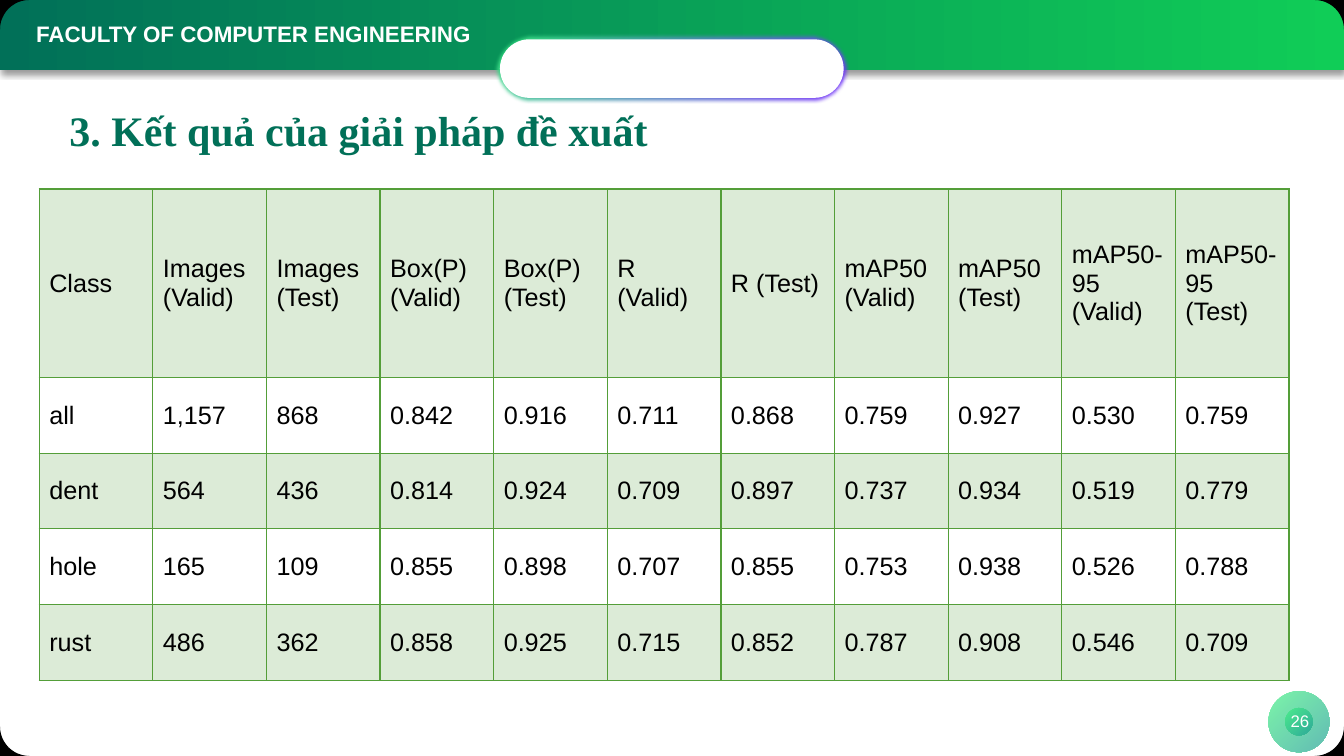
from dataclasses import dataclass
from math import cos, pi, sin

from lxml.etree import SubElement as Sub
from pptx import Presentation
from pptx.dml.color import RGBColor as RGB
from pptx.enum.shapes import MSO_SHAPE as Kind
from pptx.enum.text import MSO_ANCHOR as Anchor, PP_ALIGN as Align
from pptx.oxml import parse_xml
from pptx.oxml.ns import nsdecls, qn
from pptx.shapes.autoshape import Shape
from pptx.slide import Slide
from pptx.table import _Cell as Cell
from pptx.util import Pt

WIDE, HIGH = 960, 540


@dataclass(frozen=True)
class Theme:
    dark: str = "017058"
    bright: str = "10CD57"
    mint: str = "38EF7D"
    teal: str = "11998E"
    purple: str = "752AFF"
    grid: str = "549E39"
    white: str = "FFFFFF"
    black: str = "000000"
    sans: str = "Arial"
    serif: str = "Times New Roman"
    title: int = 30
    body: int = 18
    head: int = 16
    small: int = 12


THEME = Theme()


@dataclass(frozen=True)
class Panel:
    kind: Kind
    box: tuple[float, float, float, float]
    fills: tuple[str, ...]
    angle: int = 0
    alpha: int = 100
    effect: str = ""


@dataclass(frozen=True)
class Label:
    text: str
    box: tuple[float, float, float, float]
    font: str
    size: int
    color: str
    bold: bool = False
    wrap: bool = True
    align: Align = Align.LEFT
    anchor: Anchor = Anchor.MIDDLE
    spacing: float = 1.0


SHADE = (f'<a:outerShdw {nsdecls("a")} blurRad="{Pt(4)}" dist="{Pt(3)}" dir="5400000">'
         f'<a:srgbClr val="{THEME.black}"><a:alpha val="40000"/></a:srgbClr></a:outerShdw>')
SOFT = f'<a:softEdge {nsdecls("a")} rad="{Pt(3)}"/>'
BADGE = (THEME.mint, THEME.teal)

PANELS = [
    Panel(Kind.RECTANGLE, (0, 0, WIDE, 50), (THEME.dark, THEME.bright), effect=SHADE),
    Panel(Kind.ROUNDED_RECTANGLE, (352.8, 23.8, 254.2, 50.4),
          (THEME.mint, THEME.purple), 45, effect=SOFT),
    Panel(Kind.ROUNDED_RECTANGLE, (357.1, 28.1, 245.5, 41.8), (THEME.white,)),
    Panel(Kind.OVAL, (906, 493.7, 43.6, 43.6), BADGE, 45, 65),
    Panel(Kind.OVAL, (918, 505.7, 19.6, 19.6), BADGE, 45, 65),
]
LABELS = [
    Label("FACULTY OF COMPUTER ENGINEERING", (18.7, 10.8, 584, 26.6), THEME.sans,
          THEME.head, THEME.white, bold=True, wrap=False, anchor=Anchor.TOP),
    Label("3. Kết quả của giải pháp đề xuất", (42.5, 59.8, 864.7, 69.8), THEME.serif,
          THEME.title, THEME.dark, bold=True, spacing=0.9),
    Label("26", (906, 500.4, 45, 28.8), THEME.sans, THEME.small, THEME.white,
          align=Align.CENTER),
]
ROWS = [
    ["Class", "Images (Valid)", "Images (Test)", "Box(P) (Valid)", "Box(P) (Test)",
     "R (Valid)", "R (Test)", "mAP50 (Valid)", "mAP50 (Test)",
     "mAP50-95 (Valid)", "mAP50-95 (Test)"],
    ["all", "1,157", "868", "0.842", "0.916", "0.711", "0.868", "0.759", "0.927",
     "0.530", "0.759"],
    ["dent", "564", "436", "0.814", "0.924", "0.709", "0.897", "0.737", "0.934",
     "0.519", "0.779"],
    ["hole", "165", "109", "0.855", "0.898", "0.707", "0.855", "0.753", "0.938",
     "0.526", "0.788"],
    ["rust", "486", "362", "0.858", "0.925", "0.715", "0.852", "0.787", "0.908",
     "0.546", "0.709"],
]
LEFT, TOP, COL, FIRST, NEXT = 28, 135, 81.18, 134.6, 54.1


def fade(node, alpha: int) -> None:
    """Set the opacity, in percent, of every colour under a node."""
    for color in node.iter(qn("a:srgbClr")):
        Sub(color, qn("a:alpha"), val=str(alpha * 1000))


def plain(shape: Shape) -> None:
    """Take away the outline and the shadow."""
    shape.line.fill.background()
    shape.shadow.inherit = False


def draw_panel(slide: Slide, panel: Panel) -> None:
    shape = slide.shapes.add_shape(panel.kind, *map(Pt, panel.box))
    plain(shape)
    if panel.kind == Kind.ROUNDED_RECTANGLE:
        shape.adjustments[0] = 0.5
    if len(panel.fills) == 1:
        shape.fill.solid()
        shape.fill.fore_color.rgb = RGB.from_string(panel.fills[0])
    else:
        shape.fill.gradient()
        shape.fill.gradient_angle = -panel.angle % 360
        for stop, color in zip(shape.fill.gradient_stops, panel.fills):
            stop.color.rgb = RGB.from_string(color)
    props = shape.element.spPr
    if panel.alpha < 100:
        fade(props, panel.alpha)
    if panel.effect:
        props.find(qn("a:effectLst")).append(parse_xml(panel.effect))


def draw_edges(slide: Slide, radius: float = 21, steps: int = 12) -> None:
    """Fill the slide's corners outside a rounded frame."""
    pen = slide.shapes.build_freeform(0, 0)
    for x, y in ((0, 0), (WIDE, 0), (WIDE, HIGH), (0, HIGH)):
        mid_x, mid_y = abs(x - radius), abs(y - radius)
        way_x, way_y = (1 if x else -1), (1 if y else -1)
        turns = [pi / 2 * i / steps for i in range(steps + 1)]
        arc = [(Pt(mid_x + way_x * radius * cos(t)), Pt(mid_y + way_y * radius * sin(t)))
               for t in turns]
        pen.move_to(Pt(x), Pt(y))
        pen.add_line_segments(arc, close=True)
    shape = pen.convert_to_shape()
    plain(shape)
    shape.fill.solid()
    shape.fill.fore_color.rgb = RGB.from_string(THEME.black)


def style(frame, font: str, size: int, color: str, bold: bool = False) -> None:
    for run in frame.paragraphs[0].runs:
        run.font.name, run.font.size, run.font.bold = font, Pt(size), bold
        run.font.color.rgb = RGB.from_string(color)


def draw_label(slide: Slide, label: Label) -> None:
    frame = slide.shapes.add_textbox(*map(Pt, label.box)).text_frame
    frame.text = label.text
    frame.word_wrap = label.wrap
    frame.vertical_anchor = label.anchor
    frame.paragraphs[0].alignment = label.align
    frame.paragraphs[0].line_spacing = label.spacing
    style(frame, label.font, label.size, label.color, label.bold)


def fill_cell(cell: Cell, text: str, tinted: bool) -> None:
    cell.text_frame.text = text
    cell.vertical_anchor = Anchor.MIDDLE
    style(cell.text_frame, THEME.sans, THEME.body, THEME.black)
    props = cell._tc.get_or_add_tcPr()
    if tinted:
        cell.fill.solid()
        cell.fill.fore_color.rgb = RGB.from_string(THEME.grid)
        fade(props, 20)
    else:
        cell.fill.background()
    for i, side in enumerate("LRTB"):
        props.insert(i, parse_xml(
            f'<a:ln{side} {nsdecls("a")} w="{Pt(1)}"><a:solidFill>'
            f'<a:srgbClr val="{THEME.grid}"/></a:solidFill></a:ln{side}>'))


def draw_table(slide: Slide) -> None:
    count = len(ROWS[0])
    high = FIRST + NEXT * (len(ROWS) - 1)
    table = slide.shapes.add_table(len(ROWS), count, Pt(LEFT), Pt(TOP),
                                   Pt(COL * count), Pt(high)).table
    table.first_row = table.horz_banding = False
    for col in table.columns:
        col.width = Pt(COL)
    for i, row in enumerate(ROWS):
        table.rows[i].height = Pt(NEXT if i else FIRST)
        for j, text in enumerate(row):
            fill_cell(table.cell(i, j), text, i % 2 == 0)


def main() -> None:
    deck = Presentation()
    deck.slide_width, deck.slide_height = Pt(WIDE), Pt(HIGH)
    slide = deck.slides.add_slide(deck.slide_layouts[6])
    for panel in PANELS:
        draw_panel(slide, panel)
    draw_edges(slide)
    draw_table(slide)
    for label in LABELS:
        draw_label(slide, label)
    deck.save("out.pptx")


if __name__ == "__main__":
    main()
